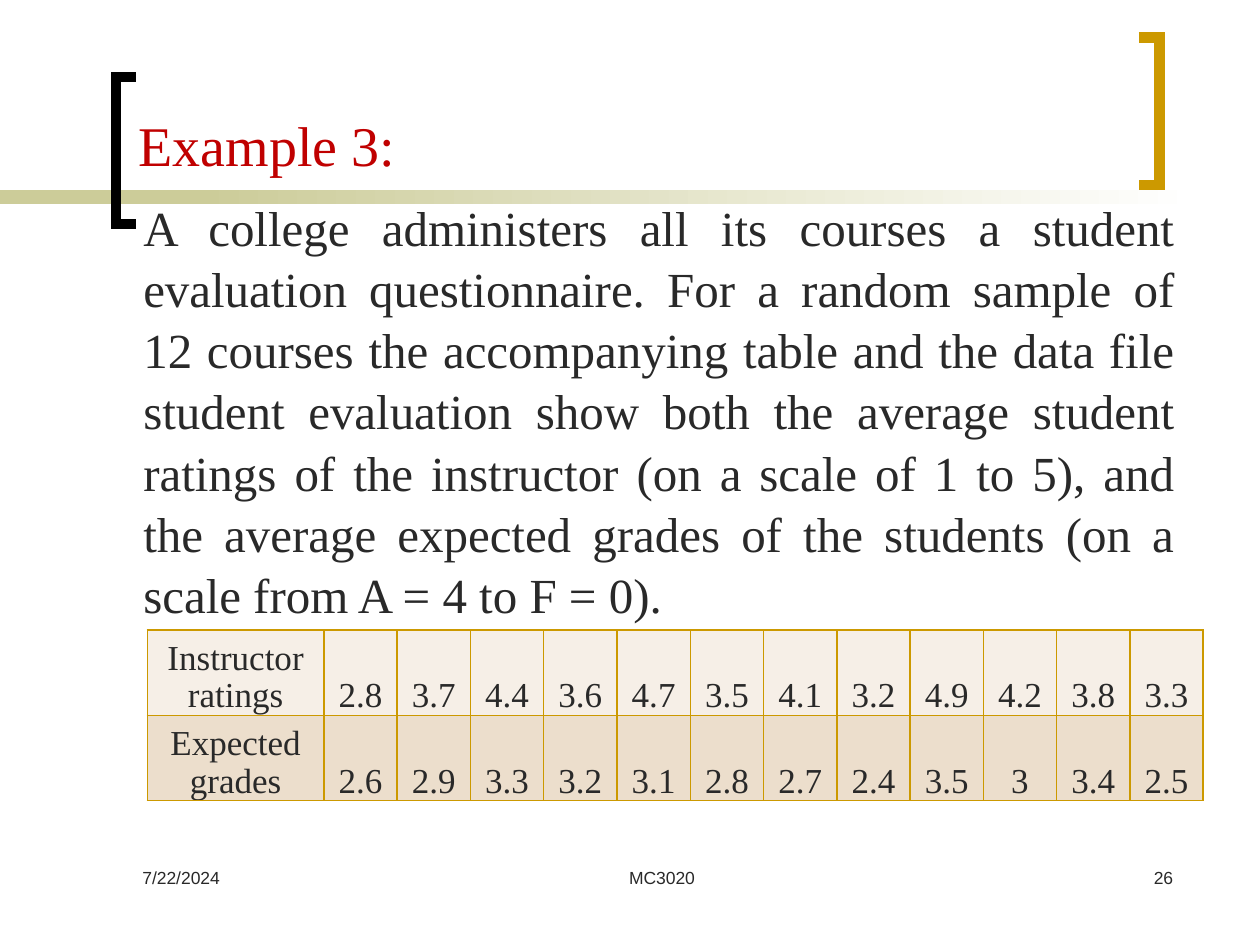
from dataclasses import dataclass
from lxml import etree
from pptx import Presentation
from pptx import util as u
from pptx.dml.color import RGBColor as Rgb
from pptx.enum import shapes, text
from pptx.oxml.ns import qn


@dataclass(frozen=True)
class Theme:
    ink: str = "292929"
    red: str = "C00000"
    gold: str = "CC9900"
    sage: str = "CCCC99"
    black: str = "000000"
    white: str = "FFFFFF"
    rows: tuple = ("F6EFE7", "ECDECC")
    serif: str = "Times New Roman"
    sans: str = "Arial"
    head: int = 32
    body: int = 28
    cell: int = 20
    foot: int = 10


T = Theme()
A = text.PP_ALIGN

TITLE = "Example 3:"
BODY = (
    "A college administers all its courses a student evaluation questionnaire. "
    "For a random sample of 12 courses the accompanying table and the data file "
    "student evaluation show both the average student ratings of the instructor "
    "(on a scale of 1 to 5), and the average expected grades of the students "
    "(on a scale from A = 4 to F = 0)."
)
DATA = [
    ("Instructor ratings", 2.8, 3.7, 4.4, 3.6, 4.7, 3.5, 4.1, 3.2, 4.9, 4.2, 3.8, 3.3),
    ("Expected grades", 2.6, 2.9, 3.3, 3.2, 3.1, 2.8, 2.7, 2.4, 3.5, 3, 3.4, 2.5),
]
FOOT = [
    ("7/22/2024", 2.62, 5.28, A.LEFT),
    ("MC3020", 9.32, 8.05, A.CENTER),
    ("26", 18.62, 5.28, A.RIGHT),
]
BARS = [(0, 5.92, T.sage), (4.02, 20.11, T.white)]
HOOKS = [(2.34, 2.74, 1.55, T.black), (23.37, 22.96, 0.76, T.gold)]


def cm(*nums):
    return [u.Cm(n) for n in nums]


def write(frame, words, size, font, color, align):
    frame.word_wrap = True
    frame.text = words
    para = frame.paragraphs[0]
    para.alignment = align
    for run in para.runs:
        run.font.size = u.Pt(size)
        run.font.name = font
        run.font.color.rgb = Rgb.from_string(color)
    return para


def add_bar(slide, left, width, end):
    bar = slide.shapes.add_shape(
        shapes.MSO_SHAPE.RECTANGLE, *cm(left, 3.84, width, 0.28))
    bar.shadow.inherit = False
    bar.line.fill.background()
    bar.fill.gradient()
    bar.fill.gradient_angle = 0
    for stop, color in zip(bar.fill.gradient_stops, (T.sage, end)):
        stop.color.rgb = Rgb.from_string(color)


def add_hook(slide, spine, tip, top, color):
    low = top + 2.97
    pen = slide.shapes.build_freeform(*cm(tip, top))
    pen.add_line_segments(
        [cm(spine, top), cm(spine, low), cm(tip, low)], close=False)
    hook = pen.convert_to_shape()
    hook.shadow.inherit = False
    hook.fill.background()
    hook.line.color.rgb = Rgb.from_string(color)
    hook.line.width = u.Pt(6)
    line = hook.line._get_or_add_ln()
    etree.SubElement(line, qn("a:miter"), lim="800000")


def add_edges(cell):
    props = cell._tc.get_or_add_tcPr()
    for side in ("lnL", "lnR", "lnT", "lnB"):
        line = etree.SubElement(props, qn(f"a:{side}"), w=str(u.Pt(1)))
        fill = etree.SubElement(line, qn("a:solidFill"))
        etree.SubElement(fill, qn("a:srgbClr"), val=T.gold)


def add_grid(slide):
    count = len(DATA[0])
    wide, first, high = 21.29, 3.56, 1.72
    grid = slide.shapes.add_table(
        len(DATA), count, *cm(2.97, 12.7, wide, high * len(DATA))).table
    grid.first_row = grid.horz_banding = False
    for i, col in enumerate(grid.columns):
        col.width = u.Cm((wide - first) / (count - 1) if i else first)
    for i, (row, color) in enumerate(zip(DATA, T.rows)):
        grid.rows[i].height = u.Cm(high)
        for j, item in enumerate(row):
            cell = grid.cell(i, j)
            cell.margin_left = cell.margin_right = cell.margin_top = u.Cm(0.03)
            cell.margin_bottom = 0
            cell.vertical_anchor = text.MSO_ANCHOR.BOTTOM
            para = write(cell.text_frame, str(item), T.cell, T.serif, T.ink, A.CENTER)
            para.line_spacing = 0.96
            add_edges(cell)
            cell.fill.solid()
            cell.fill.fore_color.rgb = Rgb.from_string(color)


def main():
    deck = Presentation()
    deck.slide_width, deck.slide_height = cm(25.4, 19.05)
    slide = deck.slides.add_slide(deck.slide_layouts[5])
    for bar in BARS:
        add_bar(slide, *bar)
    for hook in HOOKS:
        add_hook(slide, *hook)

    title = slide.shapes.title
    title.left, title.top, title.width, title.height = cm(2.54, 2.11, 19.48, 1.63)
    title.text_frame.vertical_anchor = text.MSO_ANCHOR.TOP
    write(title.text_frame, TITLE, T.head, T.serif, T.red, A.LEFT)

    body = slide.shapes.add_textbox(*cm(2.64, 3.81, 21.29, 8.89))
    para = write(body.text_frame, BODY, T.body, T.serif, T.ink, A.JUSTIFY)
    para.line_spacing = 1.04
    para.space_before = u.Pt(2)

    for words, left, width, align in FOOT:
        box = slide.shapes.add_textbox(*cm(left, 17.35, width, 1.27))
        write(box.text_frame, words, T.foot, T.sans, T.ink, align)
    add_grid(slide)
    deck.save("out.pptx")


if __name__ == "__main__":
    main()
